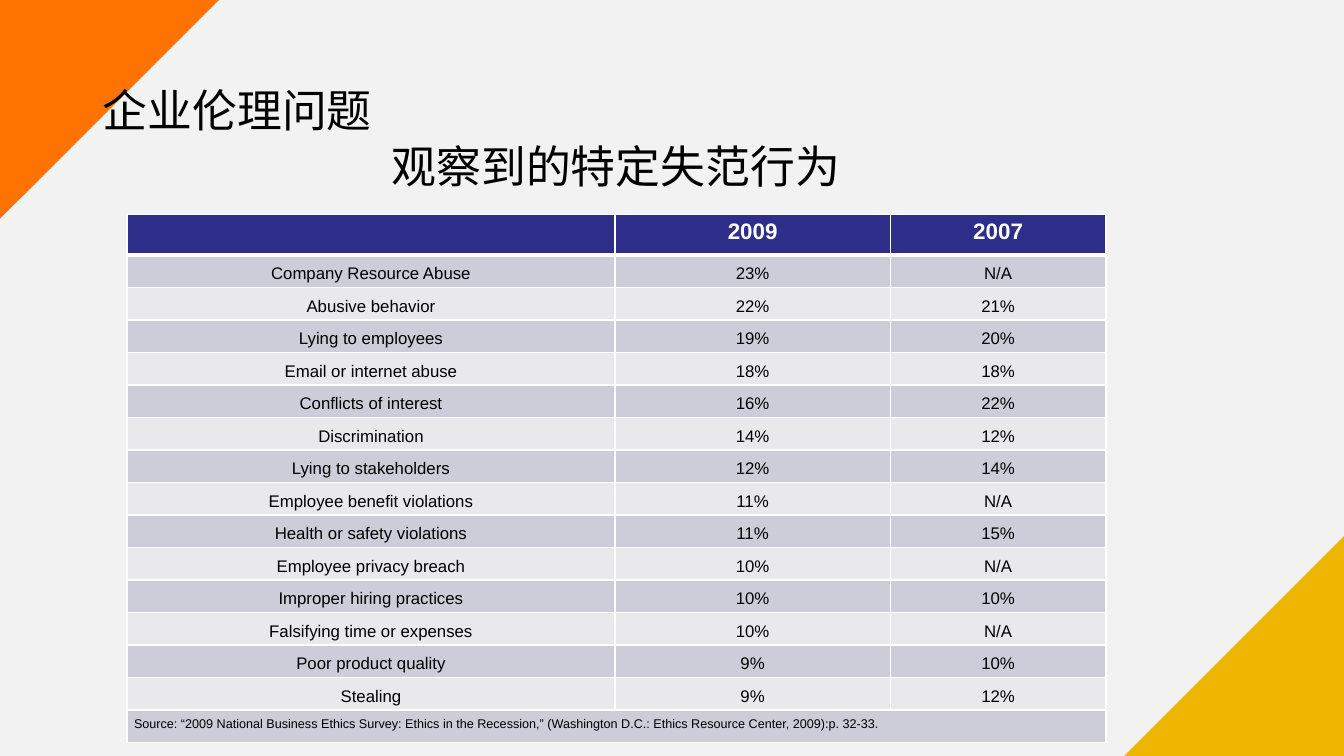
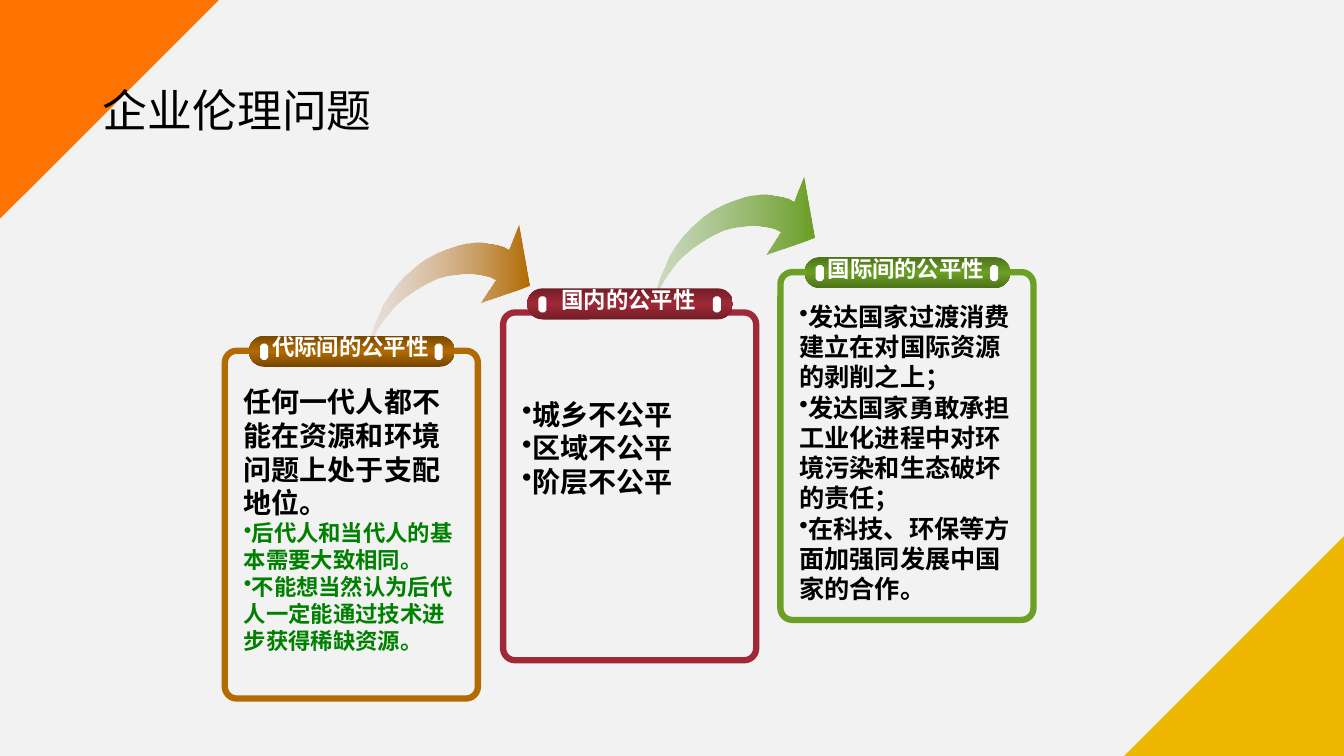
from lxml import etree
from pptx import Presentation
from pptx.dml.color import RGBColor
from pptx.enum import shapes, text
from pptx.oxml import ns
from pptx.util import Inches, Pt

BACKGROUND, BLACK, WHITE, GREEN = "F2F2F2", "000000", "FFFFFF", "008000"
HEADER_FILL, BAND_FILLS = "2D2D8A", ("CDCDDA", "E8E8ED")
CORNERS = [  # left, top, size, rotation, colour
    (-0.02, -0.02, 2.21, 90, "FF7300"),
    (11.14, 5.31, 2.2, 270, "EFB600"),
]
TITLE = "企业伦理问题"
TITLE_FONT = {"name": "Montserrat", "size": Pt(32), "bold": False, "color": BLACK}
BODY_FONT = {"name": "Arial", "size": Pt(12), "bold": False, "color": BLACK}
LABEL_FONT = BODY_FONT | {"size": Pt(16), "bold": True, "color": WHITE}

SURVEY = [
    ("Company Resource Abuse", "23%", "N/A"),
    ("Abusive behavior", "22%", "21%"),
    ("Lying to employees", "19%", "20%"),
    ("Email or internet abuse", "18%", "18%"),
    ("Conflicts of interest", "16%", "22%"),
    ("Discrimination", "14%", "12%"),
    ("Lying to stakeholders", "12%", "14%"),
    ("Employee benefit violations", "11%", "N/A"),
    ("Health or safety violations", "11%", "15%"),
    ("Employee privacy breach", "10%", "N/A"),
    ("Improper hiring practices", "10%", "10%"),
    ("Falsifying time or expenses", "10%", "N/A"),
    ("Poor product quality", "9%", "10%"),
    ("Stealing", "9%", "12%"),
]
SOURCE = ("Source: “2009 National Business Ethics Survey: Ethics in the Recession,” "
          "(Washington D.C.: Ethics Resource Center, 2009):p. 32-33.")

# Each body line: text, size, colour, bulleted
CARDS = [
    {"label": "代际间的公平性", "left": 2.23, "top": 3.48, "cap_top": 3.33,
     "color": "B26B02", "cap_edge": "764701", "body_top": 3.77, "body_height": 2.77,
     "body": [("任何一代人都不能在资源和环境问题上处于支配地位。", 20, BLACK, False),
              ("后代人和当代人的基本需要大致相同。", 16, GREEN, True),
              ("不能想当然认为后代人一定能通过技术进步获得稀缺资源。", 16, GREEN, True)]},
    {"label": "国内的公平性", "left": 4.99, "top": 3.1, "cap_top": 2.86,
     "color": "9F2936", "cap_edge": "721D27", "body_top": 3.89, "body_height": 1.1,
     "body": [(line, 20, BLACK, True)
              for line in ("城乡不公平", "区域不公平", "阶层不公平")]},
    {"label": "国际间的公平性", "left": 7.74, "top": 2.7, "cap_top": 2.55,
     "color": "6B9F25", "cap_edge": "4D721A", "body_top": 2.94, "body_height": 3.1,
     "body": [(line, 18, BLACK, True)
              for line in ("发达国家过渡消费建立在对国际资源的剥削之上；",
                           "发达国家勇敢承担工业化进程中对环境污染和生态破坏的责任；",
                           "在科技、环保等方面加强同发展中国家的合作。")]},
]
ARROWS = [  # left, top, tail colour, head colour
    (3.65, 2.23, "D7BDB0", "B26B02"),
    (6.48, 1.75, "82AB5E", "6B9F25"),
]
ARROW_OUTLINE = [
    (0, 1.27), (0.01, 1.23), (0.02, 1.2), (0.05, 1.14), (0.08, 1.08), (0.12, 1.01),
    (0.17, 0.94), (0.23, 0.86), (0.3, 0.79), (0.38, 0.72), (0.48, 0.65), (0.59, 0.59),
    (0.69, 0.54), (0.8, 0.51), (0.89, 0.5), (0.97, 0.49), (1.04, 0.49), (1.11, 0.5),
    (1.16, 0.51), (1.2, 0.52), (1.26, 0.55),
    (1.11, 0.78), (1.6, 0.61), (1.49, 0), (1.39, 0.25),
    (1.34, 0.22), (1.3, 0.21), (1.25, 0.2), (1.19, 0.19), (1.13, 0.18), (1.05, 0.18),
    (0.97, 0.19), (0.88, 0.21), (0.79, 0.24), (0.69, 0.28), (0.58, 0.34), (0.47, 0.42),
    (0.37, 0.51), (0.29, 0.6), (0.22, 0.69), (0.16, 0.79), (0.12, 0.88), (0.08, 0.97),
    (0.05, 1.05), (0.03, 1.12), (0.01, 1.18), (0, 1.23),
]


def rgb(color):
    return RGBColor.from_string(color)


def inches(*lengths):
    return [Inches(length) for length in lengths]


def add_xml(parent, tag, **attributes):
    return etree.SubElement(parent, ns.qn(tag), attributes)


def write(paragraph, words, formats, align=None, spacing=None, bulleted=False):
    if bulleted:
        add_xml(paragraph._p.get_or_add_pPr(), "a:buChar", char="•")
    paragraph.alignment = align
    paragraph.line_spacing = spacing
    run = paragraph.add_run()
    run.text = words
    for key, value in formats.items():
        if key == "color":
            run.font.color.rgb = rgb(value)
        else:
            setattr(run.font, key, value)


def add_preset(slide, kind, box, fill=None, line=None, adjust=None):
    shape = slide.shapes.add_shape(kind, *inches(*box))
    shape.shadow.inherit = False
    if adjust is not None:
        shape.adjustments[0] = adjust
    if fill:
        shape.fill.solid()
        shape.fill.fore_color.rgb = rgb(fill)
    else:
        shape.fill.background()
    if line:
        shape.line.color.rgb = rgb(line)
        shape.line.width = Pt(4.5)
    else:
        shape.line.fill.background()
    return shape


def set_gradient(shape, stops, angle):
    """Fill with stops given as (position %, colour, opacity %)."""
    shape.fill.gradient()
    shape.fill.gradient_angle = angle
    stop_list = shape.element.spPr.find(".//" + ns.qn("a:gsLst"))
    for old_stop in list(stop_list):
        stop_list.remove(old_stop)
    for position, color, opacity in stops:
        stop = add_xml(stop_list, "a:gs", pos=str(position * 1000))
        stop_color = add_xml(stop, "a:srgbClr", val=color)
        if opacity < 100:
            add_xml(stop_color, "a:alpha", val=str(opacity * 1000))


def add_text_frame(slide, box, wrap=True, **settings):
    frame = slide.shapes.add_textbox(*inches(*box)).text_frame
    frame.word_wrap = wrap
    for key, value in settings.items():
        setattr(frame, key, value)
    return frame


def add_titled_slide(prs):
    slide = prs.slides.add_slide(prs.slide_layouts[5])
    title = slide.shapes.title
    title.left, title.top, title.width, title.height = inches(0.92, 0.4, 11.5, 1.45)
    title.text_frame.vertical_anchor = text.MSO_ANCHOR.MIDDLE
    write(title.text_frame.paragraphs[0], TITLE, TITLE_FONT, text.PP_ALIGN.LEFT, 0.9)
    return slide


def decorate_master(prs, slide):
    """Give the master its background and corner triangles, drawn first on a slide."""
    master = prs.slide_master
    master.background.fill.solid()
    master.background.fill.fore_color.rgb = rgb(BACKGROUND)
    for i, (left, top, size, rotation, color) in enumerate(CORNERS):
        corner = add_preset(slide, shapes.MSO_SHAPE.RIGHT_TRIANGLE,
                            (left, top, size, size), color)
        corner.rotation = rotation
        corner.element.nvSpPr.cNvPr.set("id", str(20 + i))
        master.shapes.element.insert(2 + i, corner.element)


def format_cell(cell, fill, margins, top=1, bottom=1):
    """Set fill, (side, top and bottom) margins and white borders."""
    side, vertical = inches(*margins)
    cell.margin_left = cell.margin_right = side
    cell.margin_top = cell.margin_bottom = vertical
    properties = cell._tc.get_or_add_tcPr()
    for edge, width in {"L": 1, "R": 1, "T": top, "B": bottom}.items():
        border = add_xml(properties, f"a:ln{edge}", w=str(Pt(width)))
        add_xml(add_xml(border, "a:solidFill"), "a:srgbClr", val=WHITE)
    cell.fill.solid()
    cell.fill.fore_color.rgb = rgb(fill)


def add_survey_table(slide):
    rows = [("", "2009", "2007"), *SURVEY, (SOURCE, "", "")]
    header_height, total_height = 0.4, 5.24
    table = slide.shapes.add_table(
        len(rows), 3, *inches(1.26, 2.13, 9.71, total_height)).table
    for column, width in zip(table.columns, (4.84, 2.73, 2.14)):
        column.width = Inches(width)
    last = len(rows) - 1
    for r, values in enumerate(rows):
        header = r == 0
        table.rows[r].height = Inches(
            header_height if header else (total_height - header_height) / last)
        fill = HEADER_FILL if header else BAND_FILLS[(r - 1) % 2]
        font = LABEL_FONT if header else BODY_FONT
        if r == last:
            font = BODY_FONT | {"size": Pt(9)}
        for c, value in enumerate(values):
            cell = table.cell(r, c)
            format_cell(cell, fill, (0.1, 0.05) if header else (0.07, 0),
                        top=3 if r == 1 else 1, bottom=3 if header else 1)
            if value:
                write(cell.text_frame.paragraphs[0], value, font,
                      text.PP_ALIGN.LEFT if r == last else text.PP_ALIGN.CENTER,
                      None if header else 1.5)
    table.cell(last, 0).merge(table.cell(last, 2))


def add_arrow(slide, left, top, tail_color, head_color):
    points = [inches(left + x, top + y) for x, y in ARROW_OUTLINE]
    builder = slide.shapes.build_freeform(*points[0], scale=1.0)
    builder.add_line_segments(points[1:], close=True)
    arrow = builder.convert_to_shape()
    arrow.shadow.inherit = False
    arrow.line.fill.background()
    set_gradient(arrow, [(0, tail_color, 32), (100, head_color, 100)], 0)


def add_card(slide, card):
    """Draw a frame with a riveted cap, its label and its body text."""
    left, cap_top, color, edge = (
        card[key] for key in ("left", "cap_top", "color", "cap_edge"))
    rounded = shapes.MSO_SHAPE.ROUNDED_RECTANGLE
    add_preset(slide, rounded, (left, card["top"], 2.51, 3.45), line=color, adjust=0.047)
    cap = add_preset(slide, rounded, (left + 0.24, cap_top, 2.04, 0.31), adjust=0.5)
    set_gradient(cap, [(0, edge, 100), (50, color, 100), (100, edge, 100)], 90)
    for offset in (0.35, 2.08):
        add_preset(slide, shapes.MSO_SHAPE.OCTAGON,
                   (left + offset, cap_top + 0.08, 0.08, 0.16), WHITE)
    label = add_text_frame(slide, (left + 0.36, cap_top - 0.07, 1.77, 0.37), wrap=False)
    write(label.paragraphs[0], card["label"], LABEL_FONT, text.PP_ALIGN.CENTER)
    body = add_text_frame(
        slide, (left + 0.09, card["body_top"], 2.33, card["body_height"]),
        auto_size=text.MSO_AUTO_SIZE.SHAPE_TO_FIT_TEXT)
    for i, (line, size, line_color, bulleted) in enumerate(card["body"]):
        paragraph = body.add_paragraph() if i else body.paragraphs[0]
        font = BODY_FONT | {"size": Pt(size), "bold": True, "color": line_color}
        write(paragraph, line, font, bulleted=bulleted)


def main():
    prs = Presentation()
    prs.slide_width, prs.slide_height = inches(13.33, 7.5)

    survey = add_titled_slide(prs)
    decorate_master(prs, survey)
    subtitle = add_text_frame(survey, (1.61, 1.23, 9, 0.89),
                              vertical_anchor=text.MSO_ANCHOR.MIDDLE)
    write(subtitle.paragraphs[0], "观察到的特定失范行为", TITLE_FONT,
          text.PP_ALIGN.CENTER, 0.9)
    add_survey_table(survey)

    fairness = add_titled_slide(prs)
    for arrow in ARROWS:
        add_arrow(fairness, *arrow)
    for card in CARDS:
        add_card(fairness, card)

    prs.save("out.pptx")


if __name__ == "__main__":
    main()
